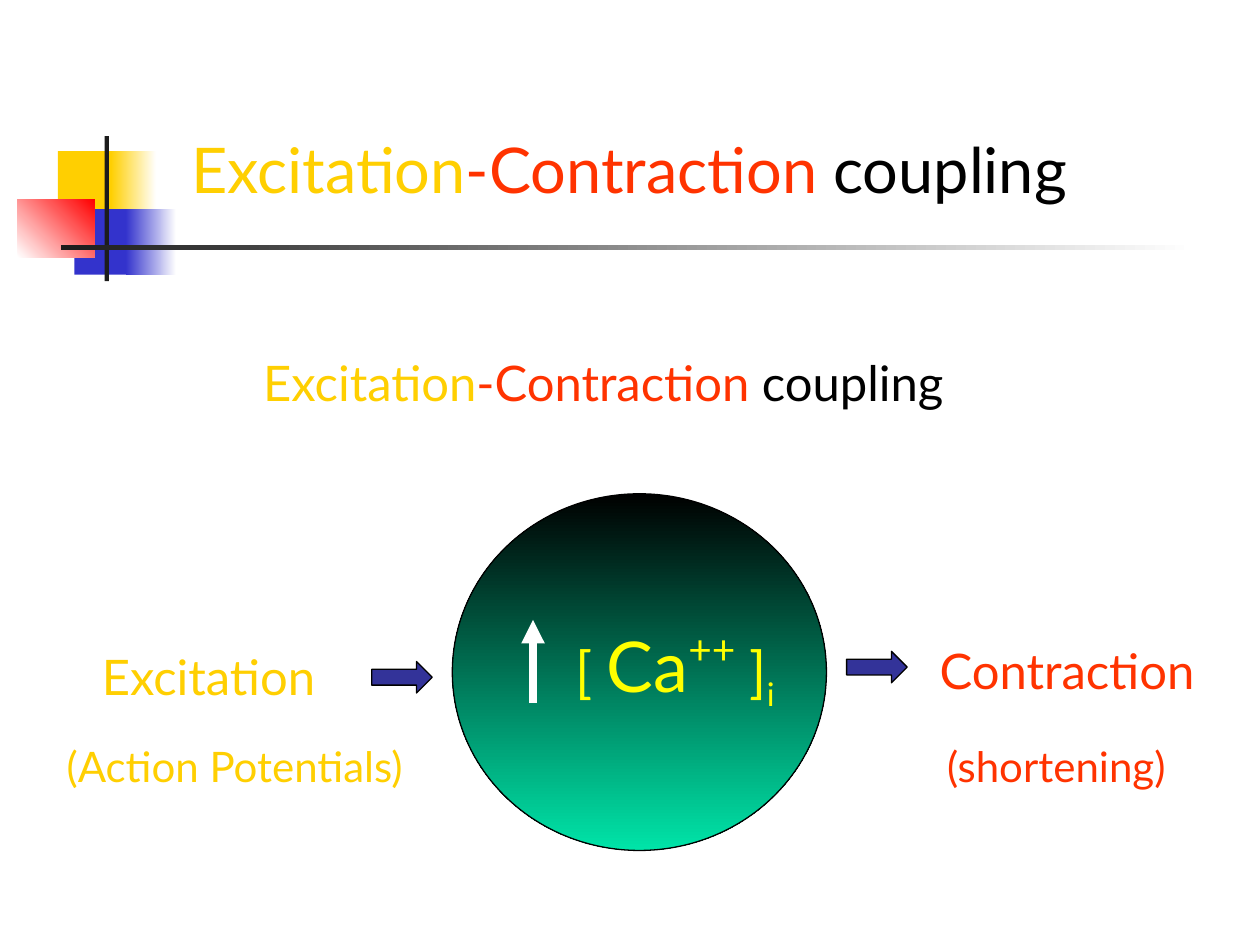
from dataclasses import dataclass
from typing import NamedTuple

from lxml import etree
from pptx import Presentation
from pptx.dml.color import RGBColor
from pptx.enum.shapes import MSO_CONNECTOR, MSO_SHAPE
from pptx.enum.text import MSO_ANCHOR, MSO_AUTO_SIZE, PP_ALIGN
from pptx.oxml.ns import qn
from pptx.util import Pt

RECTANGLE = MSO_SHAPE.RECTANGLE
OVAL = MSO_SHAPE.OVAL
RIGHT_ARROW = MSO_SHAPE.RIGHT_ARROW
STRAIGHT = MSO_CONNECTOR.STRAIGHT
TOP = MSO_ANCHOR.TOP
LEFT = PP_ALIGN.LEFT
GROW = MSO_AUTO_SIZE.SHAPE_TO_FIT_TEXT


@dataclass(frozen=True)
class Theme:
    font: str = "Lato"
    yellow: str = "FFCF01"
    blue: str = "3333CC"
    red: str = "FF0000"
    dark: str = "1C1C1C"
    white: str = "FFFFFF"
    black: str = "000000"
    orange: str = "FF3300"
    green: str = "00E4A8"
    arrow: str = "333399"
    calcium: str = "FFFF00"
    title: float = 36
    symbol: float = 40
    bracket: float = 32
    label: float = 28
    note: float = 24
    outline: float = 0.75
    stem: float = 4.5


THEME = Theme()


class Frame(NamedTuple):
    left: float
    top: float
    width: float
    height: float


@dataclass(frozen=True)
class Figure:
    frame: Frame
    start: str
    end: str = ""
    angle: float = 0
    preset: int = RECTANGLE
    outlined: bool = False


class Span(NamedTuple):
    text: str
    color: str
    size: float
    baseline: int = 0


@dataclass(frozen=True)
class Label:
    frame: Frame
    spans: tuple[Span, ...]
    wrap: bool = True
    space_before: float = 0


def draw_figure(page, figure: Figure):
    shape = page.shapes.add_shape(figure.preset, *map(Pt, figure.frame))
    shape.shadow.inherit = False
    if figure.end:
        shape.fill.gradient()
        shape.fill.gradient_angle = figure.angle
        for stop, color in zip(shape.fill.gradient_stops, (figure.start, figure.end)):
            stop.color.rgb = RGBColor.from_string(color)
    else:
        shape.fill.solid()
        shape.fill.fore_color.rgb = RGBColor.from_string(figure.start)
    if figure.outlined:
        shape.line.color.rgb = RGBColor.from_string(THEME.black)
        shape.line.width = Pt(THEME.outline)
    else:
        shape.line.fill.background()


def draw_label(page, label: Label):
    box = page.shapes.add_textbox(*map(Pt, label.frame))
    frame = box.text_frame
    frame.word_wrap = label.wrap
    frame.auto_size = GROW
    frame.vertical_anchor = TOP
    para = frame.paragraphs[0]
    para.alignment = LEFT
    para.space_before = Pt(label.space_before)
    for span in label.spans:
        run = para.add_run()
        run.text = span.text
        run.font.name = THEME.font
        run.font.size = Pt(span.size)
        run.font.color.rgb = RGBColor.from_string(span.color)
        if span.baseline:
            run.font._element.set("baseline", str(span.baseline * 1000))


def draw_rise(page, x: float, bottom: float, top: float):
    line = page.shapes.add_connector(STRAIGHT, Pt(x), Pt(bottom), Pt(x), Pt(top))
    line.line.color.rgb = RGBColor.from_string(THEME.white)
    line.line.width = Pt(THEME.stem)
    etree.SubElement(line.line._get_or_add_ln(), qn("a:tailEnd"), type="triangle")
    etree.SubElement(line._element.spPr, qn("a:effectLst"))


def heading(size: float) -> tuple[Span, ...]:
    return (
        Span("Excitation", THEME.yellow, size),
        Span("-Contraction ", THEME.orange, size),
        Span("coupling", THEME.black, size),
    )


ORNAMENT = (
    Figure(Frame(33.1, 86.4, 34.6, 37.4), THEME.yellow),
    Figure(Frame(63.4, 86.4, 25.9, 37.4), THEME.yellow, THEME.white),
    Figure(Frame(42.5, 119.5, 33.1, 37.4), THEME.blue),
    Figure(Frame(72, 119.5, 28.8, 37.4), THEME.blue, THEME.white),
    Figure(Frame(10.1, 113.8, 43.9, 33.1), THEME.white, THEME.red, 45),
    Figure(Frame(59.8, 77.8, 2.5, 82.8), THEME.dark),
    Figure(Frame(34.6, 140.2, 648, 2.5), THEME.dark, THEME.white),
)

DIAGRAM = (
    Figure(Frame(258.5, 282.2, 213.8, 203.8), THEME.black, THEME.green, 270, OVAL, True),
    *(
        Figure(Frame(left, top, 34.6, 18), THEME.arrow, preset=RIGHT_ARROW, outlined=True)
        for left, top in ((212.4, 378), (483.8, 372.2))
    ),
)

LABELS = (
    Label(Frame(143.3, 198, 444.2, 41), heading(THEME.label)),
    Label(Frame(51.1, 365.8, 155.5, 41),
          (Span("Excitation", THEME.yellow, THEME.label),), space_before=17.5),
    Label(Frame(529.9, 362.2, 172.8, 41),
          (Span("Contraction", THEME.orange, THEME.label),)),
    Label(Frame(321.8, 352.1, 185, 59), (
        Span("[ ", THEME.calcium, THEME.bracket),
        Span("Ca", THEME.calcium, THEME.symbol),
        Span("++", THEME.calcium, THEME.symbol, 40),
        Span(" ]", THEME.calcium, THEME.bracket),
        Span("i", THEME.calcium, THEME.bracket, -25),
    )),
    Label(Frame(31, 419.8, 218.2, 36),
          (Span("(Action Potentials)", THEME.yellow, THEME.note),), wrap=False),
    Label(Frame(534.2, 419.8, 151.9, 36),
          (Span("(shortening)", THEME.orange, THEME.note),), wrap=False),
    Label(Frame(102.2, 71.3, 529.9, 93.6), heading(THEME.title)),
)


def main():
    deck = Presentation()
    deck.slide_width, deck.slide_height = Pt(720), Pt(540)
    page = deck.slides.add_slide(deck.slide_layouts[6])
    for figure in ORNAMENT + DIAGRAM:
        draw_figure(page, figure)
    draw_rise(page, 304.6, 401.8, 354.2)
    for label in LABELS:
        draw_label(page, label)
    deck.save("out.pptx")


if __name__ == "__main__":
    main()
